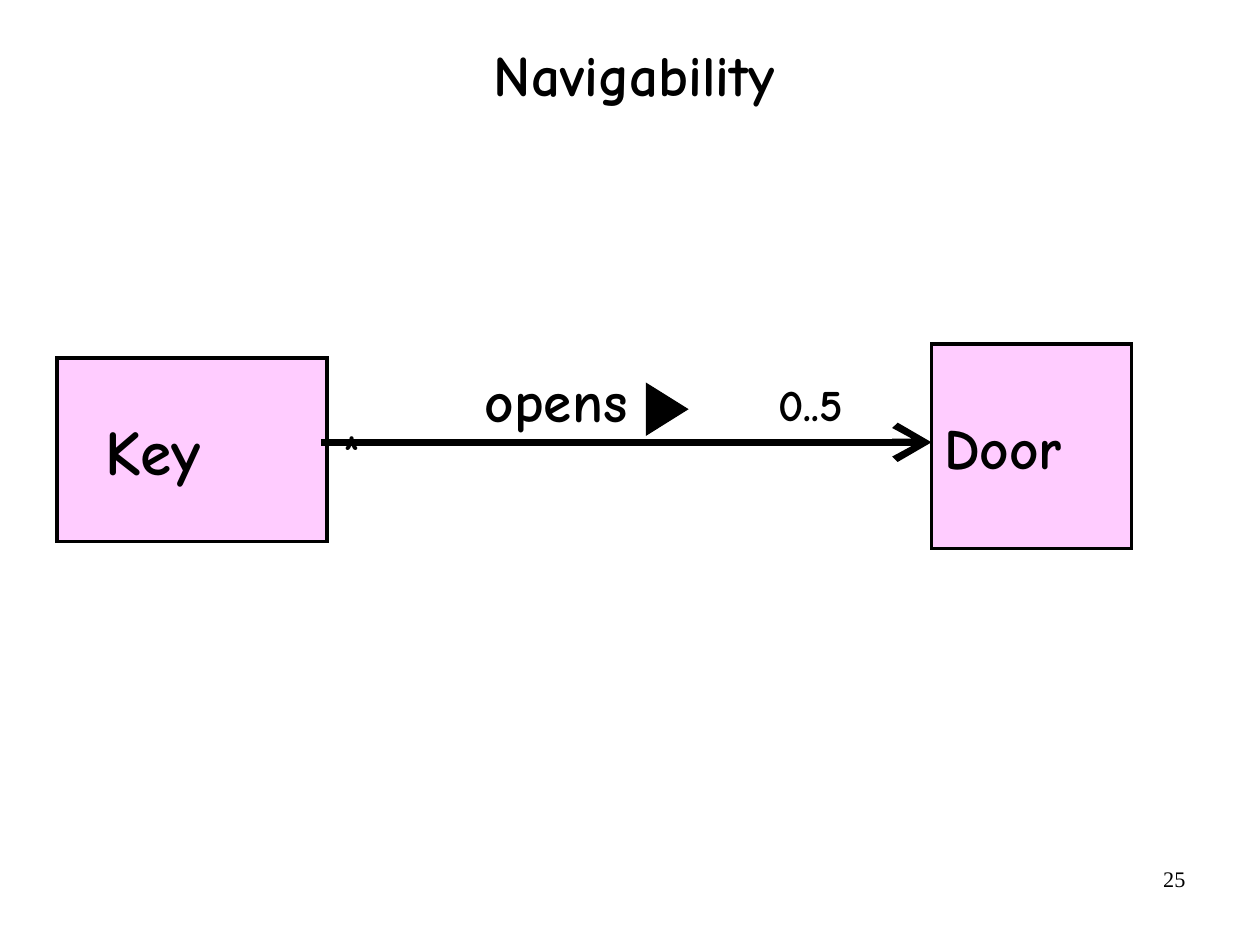
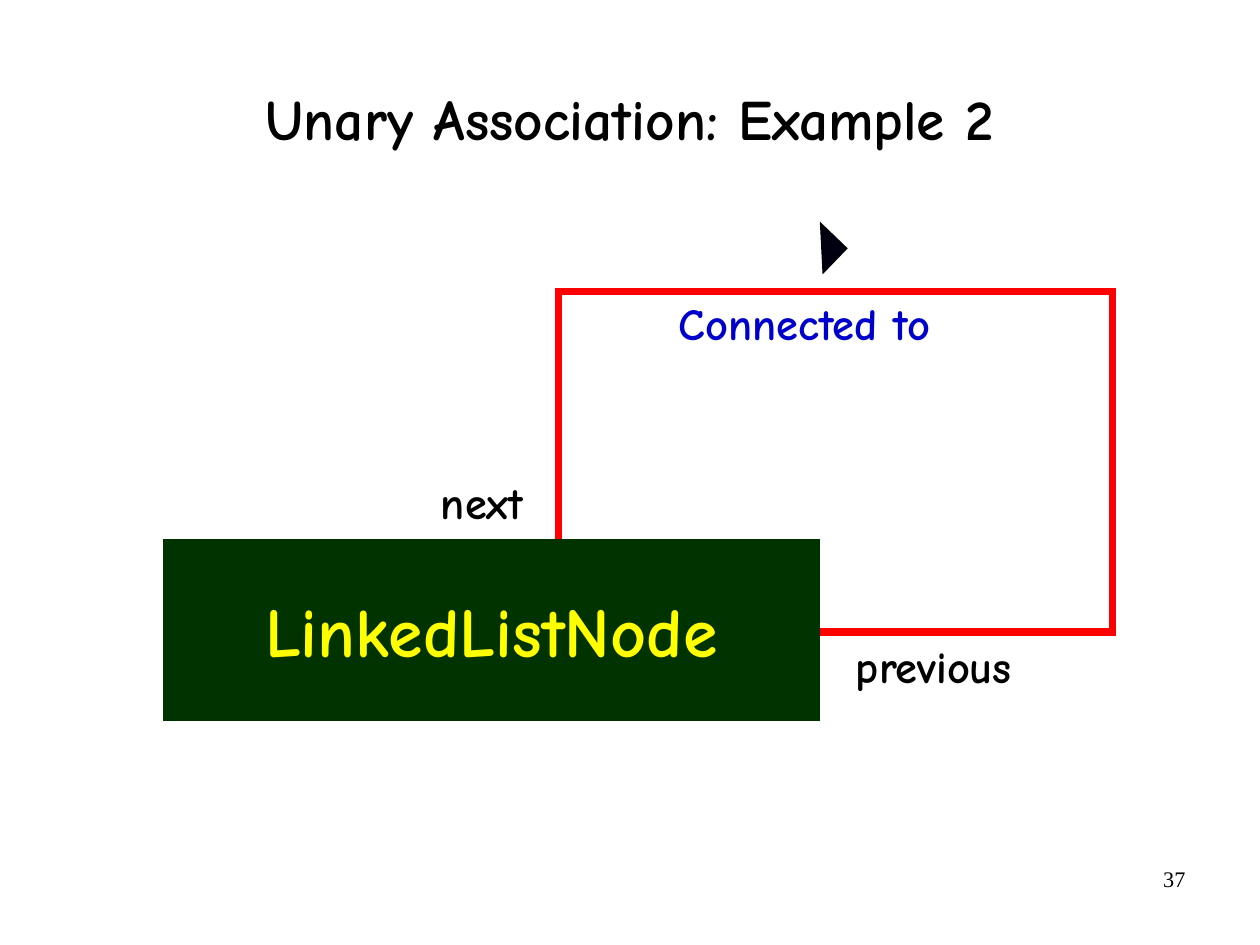
from lxml.etree import SubElement
from pptx import Presentation
from pptx.dml.color import RGBColor
from pptx.enum.shapes import MSO_CONNECTOR, MSO_SHAPE
from pptx.enum.text import MSO_ANCHOR, MSO_AUTO_SIZE, PP_ALIGN
from pptx.oxml.ns import qn
from pptx.util import Cm, Inches, Pt

COLOURS = {
    "ink": "000000",
    "paper": "FFFFFF",
    "class_fill": "FFCCFF",
    "node_fill": "003300",
    "node_text": "FFFF00",
    "loop": "FF0000",
    "association": "0000CC",
    "marker": "000011",
}
TITLE_FONT = "Comic Neue"
NUMBER_FONT = "Times New Roman"
TITLE_SIZE = (9.4, 1.37)
NUMBER_BOX = (7.9, 7.52, 2.57, 0.57)
PADDED = (0.1, 0.05)
FLUSH = (0, 0)


def colour(name):
    """Return the palette colour with this name."""
    return RGBColor.from_string(COLOURS[name])


def write(shape, text, size, ink="ink", font=TITLE_FONT, bold=True,
          align=PP_ALIGN.LEFT, anchor=MSO_ANCHOR.TOP, insets=PADDED):
    """Put one formatted paragraph into a shape and return it."""
    frame = shape.text_frame
    frame.text = text
    frame.word_wrap = True
    frame.auto_size = MSO_AUTO_SIZE.NONE
    frame.vertical_anchor = anchor
    frame.margin_left = frame.margin_right = Inches(insets[0])
    frame.margin_top = frame.margin_bottom = Inches(insets[1])
    paragraph = frame.paragraphs[0]
    paragraph.alignment = align
    run_font = paragraph.runs[0].font
    run_font.name = font
    run_font.size = Pt(size)
    run_font.bold = bold
    run_font.color.rgb = colour(ink)
    return paragraph


def add_label(slide, box, text, size, **style):
    """Add a text box and return its paragraph."""
    label = slide.shapes.add_textbox(*map(Inches, box))
    return write(label, text, size, **style)


def style_line(shape, ink, width):
    """Give a shape or connector a line with square corners and return its XML."""
    shape.line.color.rgb = colour(ink)
    shape.line.width = Pt(width)
    line = shape.line._get_or_add_ln()
    SubElement(line, qn("a:miter"), lim="800000")
    return line


def add_figure(slide, kind, box, fill, line, width=0.75, rotation=0):
    """Add a filled and outlined preset shape."""
    shape = slide.shapes.add_shape(kind, *map(Inches, box))
    shape.shadow.inherit = False
    shape.fill.solid()
    shape.fill.fore_color.rgb = colour(fill)
    style_line(shape, line, width)
    shape.rotation = rotation
    return shape


def add_titled_slide(presentation, title, position, number):
    """Add a slide with the shared title style and page number."""
    slide = presentation.slides.add_slide(presentation.slide_layouts[5])
    heading = slide.shapes.title
    heading.left, heading.top = map(Inches, position)
    heading.width, heading.height = map(Inches, TITLE_SIZE)
    paragraph = write(heading, title, 36, align=PP_ALIGN.CENTER,
                      anchor=MSO_ANCHOR.MIDDLE, insets=FLUSH)
    paragraph.line_spacing = 0.88
    add_label(slide, NUMBER_BOX, number, 14, font=NUMBER_FONT, bold=False,
              align=PP_ALIGN.RIGHT)
    return slide


def add_class_box(slide, box, name, size, indent):
    """Add a pink class box with its name."""
    shape = add_figure(slide, MSO_SHAPE.RECTANGLE, box, "class_fill", "ink", 2.25)
    write(shape, name, size, anchor=MSO_ANCHOR.MIDDLE, insets=(indent, 0.06))


def add_arrow(slide, start, end):
    """Add a thick line with a large open arrowhead at its end."""
    arrow = slide.shapes.add_connector(
        MSO_CONNECTOR.STRAIGHT, *map(Inches, (*start, *end)))
    line = style_line(arrow, "ink", 4.5)
    SubElement(line, qn("a:tailEnd"), type="arrow", w="lg", len="lg")
    SubElement(arrow._element.spPr, qn("a:effectLst"))


def add_navigable_association(slide, left, top):
    """Draw the directed association between Key and Door."""
    door_left, line_y = left + 7.65, top + 0.86
    add_class_box(slide, (left, top + 0.12, 2.36, 1.61), "Key", 40, 0.42)
    add_class_box(slide, (door_left, top, 1.75, 1.79), "Door", 36, 0.11)
    add_arrow(slide, (left + 2.31, line_y), (door_left, line_y))
    add_figure(slide, MSO_SHAPE.ISOSCELES_TRIANGLE,
               (left + 5.11, top + 0.39, 0.45, 0.36), "ink", "ink", rotation=90)
    add_label(slide, (left + 6.31, top + 0.29, 0.82, 0.47), "0..5", 28, insets=FLUSH)
    star = add_label(slide, (left + 2.5, top + 0.17, 0.27, 0.61), "*", 54, insets=FLUSH)
    star.runs[0].font._element.set("baseline", "-25000")
    add_label(slide, (left + 3.74, top + 0.19, 1.79, 0.61), "opens", 36, insets=FLUSH)


def add_unary_association(slide, left, top):
    """Draw the node whose association loops back to itself."""
    add_figure(slide, MSO_SHAPE.RECTANGLE, (left + 3.46, top, 4.84, 2.98),
               "paper", "loop", 4.5)
    node = add_figure(slide, MSO_SHAPE.RECTANGLE, (left, top + 2.17, 5.74, 1.58),
                      "node_fill", "node_fill")
    write(node, "LinkedListNode", 44, ink="node_text", align=PP_ALIGN.CENTER,
          anchor=MSO_ANCHOR.MIDDLE)
    for text, x, y, width, ink in (
        ("next", 2.33, 1.56, 1.43, "ink"),
        ("previous", 5.96, 2.99, 2.51, "ink"),
        ("Connected to", 4.41, -0.01, 2.95, "association"),
    ):
        add_label(slide, (left + x, top + y, width, 0.57), text, 28, ink=ink)
    add_figure(slide, MSO_SHAPE.RIGHT_TRIANGLE,
               (left + 5.6, top - 0.53, 0.32, 0.3), "marker", "ink", rotation=223.9)


def main():
    """Build and save both slides."""
    presentation = Presentation()
    presentation.slide_width = Cm(28)
    presentation.slide_height = Cm(21)
    navigability = add_titled_slide(presentation, "Navigability", (0.85, 0), "25")
    add_navigable_association(navigability, 0.5, 3.01)
    unary = add_titled_slide(
        presentation, "Unary Association: Example 2", (0.81, 0.39), "37")
    add_unary_association(unary, 1.43, 2.55)
    presentation.save("out.pptx")


if __name__ == "__main__":
    main()
